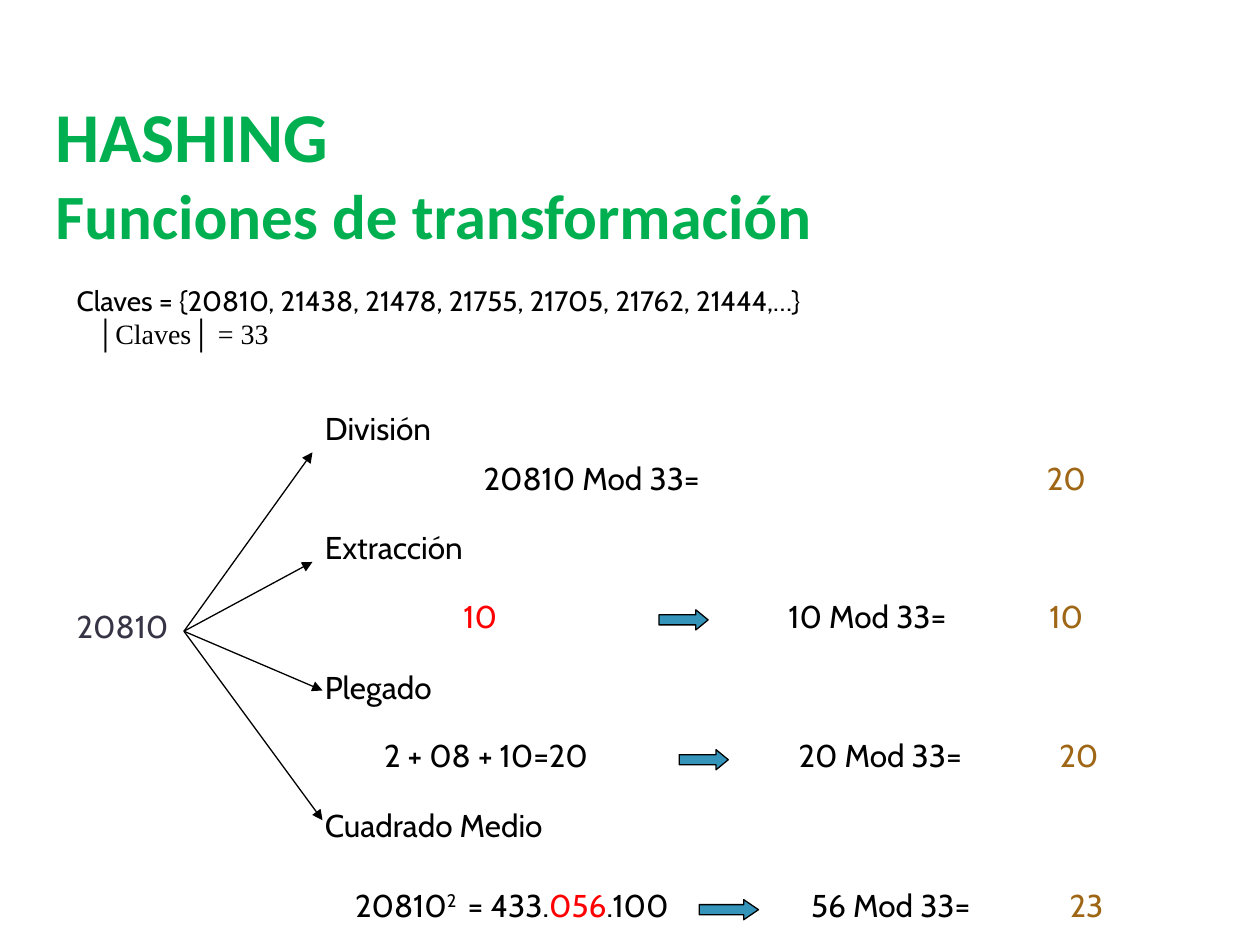
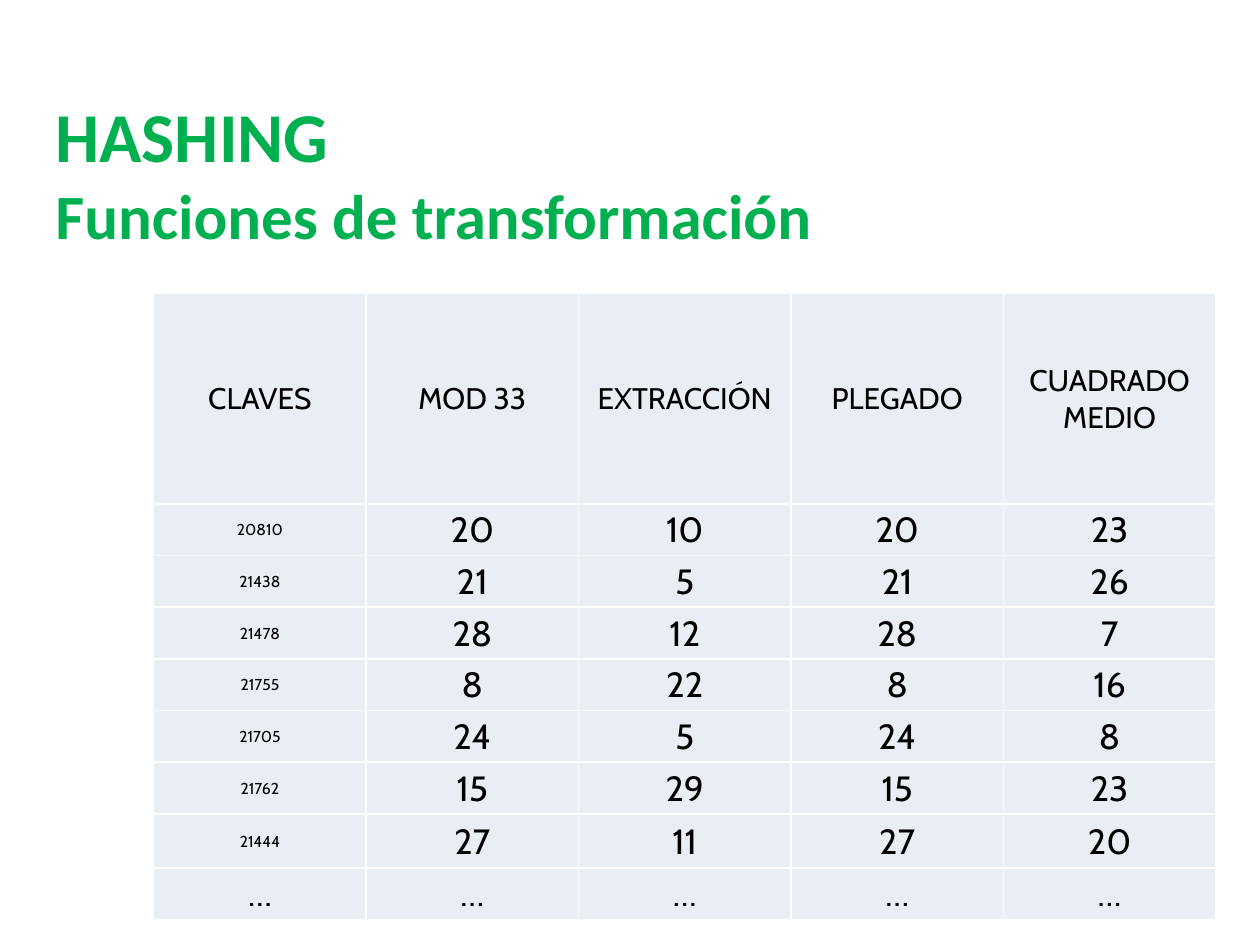
from dataclasses import dataclass

from lxml.etree import SubElement
from pptx import Presentation
from pptx.dml.color import RGBColor
from pptx.enum.shapes import MSO_CONNECTOR, MSO_SHAPE
from pptx.enum.text import MSO_ANCHOR, MSO_AUTO_SIZE, PP_ALIGN
from pptx.oxml.ns import qn
from pptx.util import Inches, Pt


@dataclass(frozen=True)
class Theme:
    """Colours, fonts and type sizes shared by the slides."""

    title: str = "00B050"
    ink: str = "000000"
    key: str = "373545"
    result: str = "9F6715"
    accent: str = "FF0000"
    arrow: str = "3494BA"
    cell: str = "E8EEF3"
    paper: str = "FFFFFF"
    title_font: str = "Calibri"
    body_font: str = "Cabin"
    serif_font: str = "Times New Roman"
    heading_size: int = 40
    subheading_size: int = 36
    body_size: int = 18
    keys_size: int = 16
    header_size: int = 17
    cell_size: int = 20
    key_cell_size: int = 9
    line_width: float = 0.75


THEME = Theme()
BOX_HEIGHT = 0.4

METHODS = [("División", 3.2), ("Extracción", 4.14), ("Plegado", 5.25), ("Cuadrado Medio", 6.35)]
RESULTS = [("20", 8.21, 3.59), ("10", 8.23, 4.69), ("20", 8.31, 5.79), ("23", 8.39, 6.98)]
MODULOS = [
    ("20810 Mod 33=", 3.74, 3.59),
    ("10 Mod 33=", 6.16, 4.69),
    ("20 Mod 33=", 6.24, 5.79),
    ("56 Mod 33=", 6.34, 6.98),
]
STEP_ARROWS = [(5.23, 4.84, 0.39), (5.39, 5.95, 0.39), (5.55, 7.14, 0.47)]
BRANCH_START = (1.46, 5.01)
BRANCH_ENDS = [(2.48, 3.59), (2.48, 4.46), (2.56, 5.48), (2.56, 6.51)]

TABLE_ROWS = [
    ("CLAVES", "MOD 33", "EXTRACCIÓN", "PLEGADO", "CUADRADO MEDIO"),
    ("20810", "20", "10", "20", "23"),
    ("21438", "21", "5", "21", "26"),
    ("21478", "28", "12", "28", "7"),
    ("21755", "8", "22", "8", "16"),
    ("21705", "24", "5", "24", "8"),
    ("21762", "15", "29", "15", "23"),
    ("21444", "27", "11", "27", "20"),
    ("…",) * 5,
]
ROW_HEIGHTS = [1.67] + [0.41] * 6 + [0.43, 0.41]


def style_font(font, size, color, name=THEME.body_font, bold=False):
    """Set the look of a paragraph or run font."""
    font.name, font.size, font.bold = name, Pt(size), bold
    font.color.rgb = RGBColor.from_string(color)


def add_titled_slide(deck):
    """Add a slide with the two-line title."""
    page = deck.slides.add_slide(deck.slide_layouts[5])
    title = page.shapes.title
    title.left, title.top = Inches(0.34), Inches(0.45)
    title.width, title.height = Inches(8.52), Inches(1.6)
    frame = title.text_frame
    frame.word_wrap, frame.auto_size = True, MSO_AUTO_SIZE.NONE
    frame.vertical_anchor = MSO_ANCHOR.BOTTOM
    para = frame.paragraphs[0]
    para.alignment = PP_ALIGN.LEFT
    style_font(para.font, THEME.subheading_size, THEME.title, THEME.title_font, True)
    heading = para.add_run()
    heading.text = "HASHING"
    style_font(heading.font, THEME.heading_size, THEME.title, THEME.title_font, True)
    para.add_line_break()
    subheading = para.add_run()
    subheading.text = "Funciones de transformación"
    style_font(subheading.font, THEME.subheading_size, THEME.title, THEME.title_font, True)
    return page


def add_label(page, text, left, top, width, color=THEME.ink, size=THEME.body_size, height=BOX_HEIGHT):
    """Add a one-paragraph text box and return it."""
    box = page.shapes.add_textbox(Inches(left), Inches(top), Inches(width), Inches(height))
    frame = box.text_frame
    frame.word_wrap, frame.auto_size = True, MSO_AUTO_SIZE.SHAPE_TO_FIT_TEXT
    para = frame.paragraphs[0]
    para.text = text
    style_font(para.font, size, color)
    return box


def add_key_list(page):
    """Add the set of keys and its cardinality."""
    box = add_label(
        page, "Claves = {20810, 21438, 21478, 21755, 21705, 21762, 21444,…}",
        0.51, 2.2, 8.51, size=THEME.keys_size, height=0.77,
    )
    para = box.text_frame.add_paragraph()
    para.text = "│Claves│ = 33"
    properties = para._p.get_or_add_pPr()
    properties.set("marL", str(Inches(0.15)))
    properties.set("indent", "0")
    style_font(para.font, THEME.keys_size, THEME.ink, THEME.serif_font)


def add_square(page):
    """Add the squared key with its middle digits marked."""
    box = add_label(page, "20810", 2.72, 6.98, 2.84)
    para = box.text_frame.paragraphs[0]
    for text, color, baseline in [
        ("2 ", THEME.ink, 30000),
        (" = 433.", THEME.ink, 0),
        ("056", THEME.accent, 0),
        (".100", THEME.ink, 0),
    ]:
        span = para.add_run()
        span.text = text
        span.font.color.rgb = RGBColor.from_string(color)
        span._r.get_or_add_rPr().set("baseline", str(baseline))


def add_step_arrow(page, left, top, width, height=0.16):
    """Add a block arrow whose head takes a quarter of its width."""
    arrow = page.shapes.add_shape(
        MSO_SHAPE.RIGHT_ARROW, Inches(left), Inches(top), Inches(width), Inches(height)
    )
    arrow.shadow.inherit = False
    arrow.adjustments[1] = width / 4 / height
    arrow.fill.solid()
    arrow.fill.fore_color.rgb = RGBColor.from_string(THEME.arrow)
    arrow.line.color.rgb = RGBColor.from_string(THEME.ink)
    arrow.line.width = Pt(THEME.line_width)


def add_branch(page, start, end):
    """Add a thin line with an arrowhead at its end."""
    branch = page.shapes.add_connector(
        MSO_CONNECTOR.STRAIGHT, *(Inches(value) for value in (*start, *end))
    )
    branch.line.color.rgb = RGBColor.from_string(THEME.ink)
    branch.line.width = Pt(THEME.line_width)
    SubElement(branch.line._get_or_add_ln(), qn("a:tailEnd"), type="triangle")
    SubElement(branch._element.spPr, qn("a:effectLst"))


def add_borders(cell):
    """Draw a thin light border on every side of a cell."""
    properties = cell._tc.get_or_add_tcPr()
    for side in ("lnL", "lnR", "lnT", "lnB"):
        border = SubElement(properties, qn(f"a:{side}"), w=str(Pt(1)))
        fill = SubElement(border, qn("a:solidFill"))
        SubElement(fill, qn("a:srgbClr"), val=THEME.paper)


def cell_size(row, column, text):
    """Choose the type size of a table cell."""
    if row == 0:
        return THEME.header_size
    return THEME.key_cell_size if column == 0 and text != "…" else THEME.cell_size


def fill_cell(cell, text, size):
    """Write and format one table cell."""
    add_borders(cell)
    cell.fill.solid()
    cell.fill.fore_color.rgb = RGBColor.from_string(THEME.cell)
    cell.vertical_anchor = MSO_ANCHOR.MIDDLE
    cell.margin_left = cell.margin_right = cell.margin_top = Inches(0.01)
    cell.margin_bottom = 0
    para = cell.text_frame.paragraphs[0]
    para.text = text
    para.alignment = PP_ALIGN.CENTER
    style_font(para.font, size, THEME.ink)


def add_hash_table(page):
    """Add the table of keys and their hash values."""
    table = page.shapes.add_table(
        len(TABLE_ROWS), len(TABLE_ROWS[0]),
        Inches(1.22), Inches(2.33), Inches(8.43), Inches(sum(ROW_HEIGHTS)),
    ).table
    table.first_row = table.horz_banding = False
    for row, (height, texts) in enumerate(zip(ROW_HEIGHTS, TABLE_ROWS)):
        table.rows[row].height = Inches(height)
        for column, text in enumerate(texts):
            fill_cell(table.cell(row, column), text, cell_size(row, column, text))


def build_methods_slide(deck):
    """Show four hash methods applied to one key."""
    page = add_titled_slide(deck)
    add_key_list(page)
    key = add_label(page, "20810", 0.51, 4.77, 1.02, THEME.key)
    key.fill.solid()
    key.fill.fore_color.rgb = RGBColor.from_string(THEME.paper)
    for text, top in METHODS:
        add_label(page, text, 2.48, top, 2.28)
    add_label(page, "10", 3.58, 4.69, 1.02, THEME.accent)
    add_label(page, "2 + 08 + 10=20", 2.95, 5.79, 2.36)
    add_square(page)
    for text, left, top in MODULOS:
        add_label(page, text, left, top, 2.23 if top == MODULOS[0][2] else 1.84)
    for text, left, top in RESULTS:
        add_label(page, text, left, top, 0.71, THEME.result)
    for left, top, width in STEP_ARROWS:
        add_step_arrow(page, left, top, width)
    for end in BRANCH_ENDS:
        add_branch(page, BRANCH_START, end)


def main():
    """Build and save the deck."""
    deck = Presentation()
    deck.slide_width, deck.slide_height = Inches(10), Inches(7.5)
    build_methods_slide(deck)
    add_hash_table(add_titled_slide(deck))
    deck.save("out.pptx")


if __name__ == "__main__":
    main()
